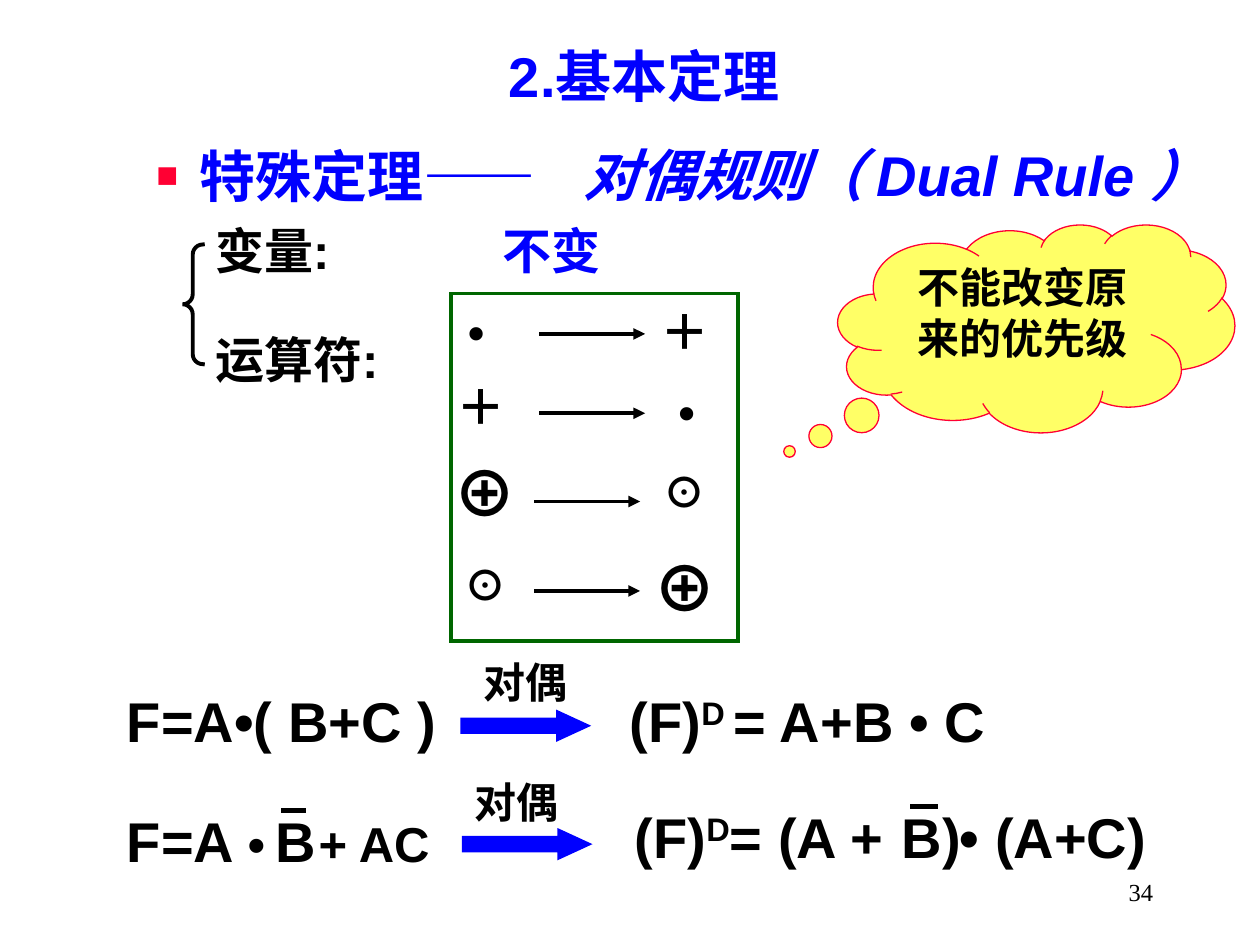
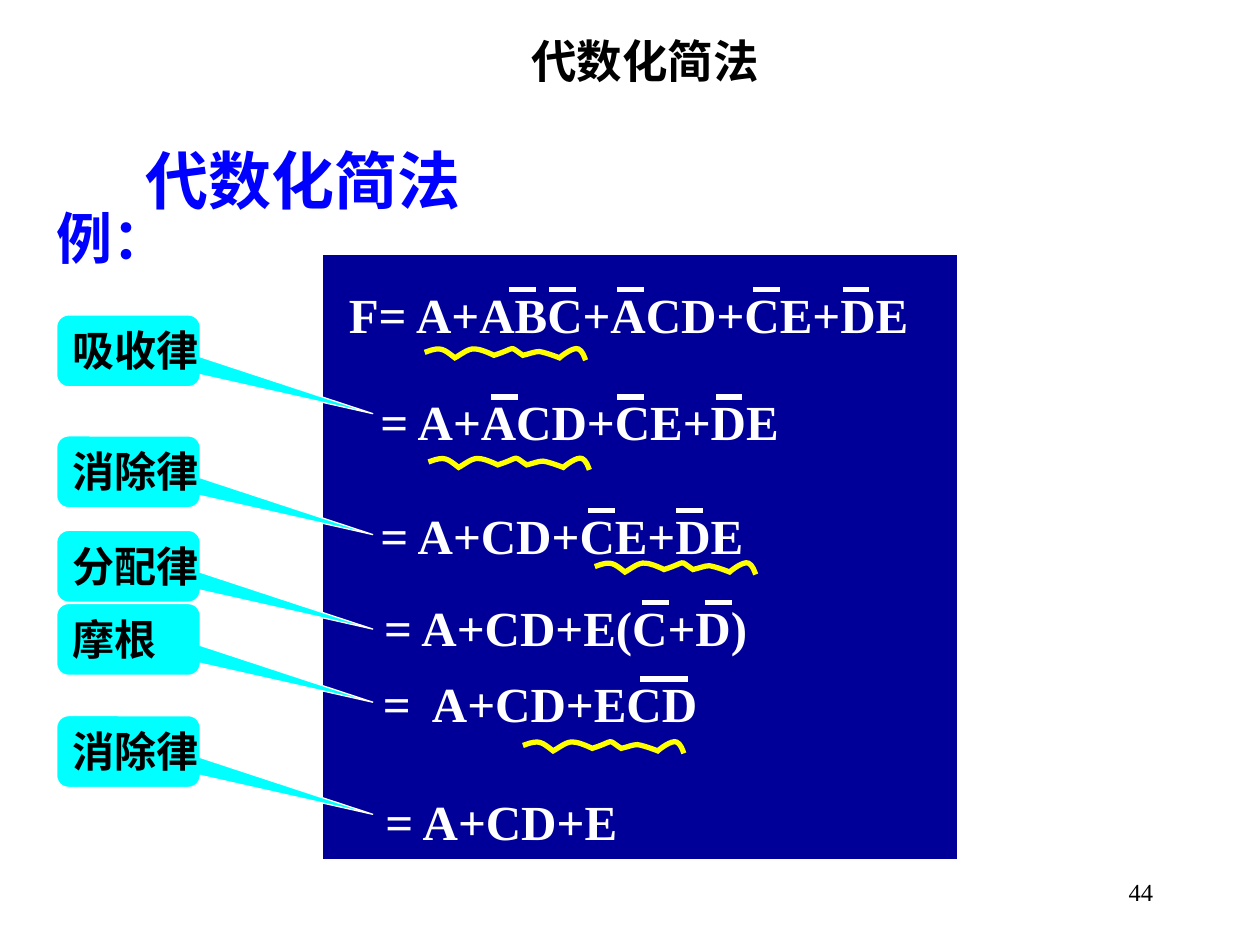
from lxml import etree
from pptx import Presentation
from pptx.dml.color import RGBColor
from pptx.enum.shapes import MSO_CONNECTOR, MSO_SHAPE
from pptx.enum.text import MSO_ANCHOR, MSO_AUTO_SIZE, PP_ALIGN
from pptx.oxml.ns import qn
from pptx.util import Inches, Pt

LEFT, MID, RIGHT = PP_ALIGN.LEFT, PP_ALIGN.CENTER, PP_ALIGN.RIGHT
TOP, CENTER = MSO_ANCHOR.TOP, MSO_ANCHOR.MIDDLE
STRAIGHT = MSO_CONNECTOR.STRAIGHT
RECT, BRACE = MSO_SHAPE.RECTANGLE, MSO_SHAPE.LEFT_BRACE
CLOUD, ARROW = MSO_SHAPE.CLOUD_CALLOUT, MSO_SHAPE.RIGHT_ARROW
CALLOUT = MSO_SHAPE.ROUNDED_RECTANGULAR_CALLOUT

SANS, SERIF, CJK = "Arial", "Times New Roman", "Noto Sans CJK SC"
BLACK, WHITE, BLUE, NAVY = "000000", "FFFFFF", "0000FF", "000099"
RED, GREEN, CYAN = "FF0033", "006600", "00FFFF"
PALE, YELLOW = "FFFF66", "FFFF00"

# Wavy underline, relative to its left top: a start, then three points a curve
START = (0, .05)
CURVES = [
    (.11, .01), (.13, .03), (.22, .10),
    (.26, .08), (.33, .02), (.38, .03),
    (.43, .03), (.53, .08), (.53, .08),
    (.72, .02), (.64, 0), (.76, .08),
    (.81, .07), (.85, .05), (.89, .05),
    (.95, .06), (1.05, .10), (1.05, .10),
    (1.06, .09), (1.16, .01), (1.20, .03),
    (1.23, .04), (1.25, .10), (1.25, .10),
]


def color(code):
    return RGBColor.from_string(code)


def place(shape, box):
    shape.left, shape.top, shape.width, shape.height = map(Inches, box)


def write(frame, text, size=32, font=SANS, ink=BLACK, bold=True, italic=False,
          align=LEFT, anchor=TOP, wrap=True, tab=None, bullet=None):
    """Text is a string or a list of (string, changes) runs."""
    frame.word_wrap = wrap
    frame.auto_size = MSO_AUTO_SIZE.NONE
    frame.vertical_anchor = anchor
    para = frame.paragraphs[0]
    para.alignment = align
    para.space_before = Pt(0)
    props = para._p.get_or_add_pPr()
    if bullet:
        props.set("marL", str(Inches(.34)))
        props.set("indent", str(-Inches(.34)))
        tint = etree.SubElement(props, qn("a:buClr"))
        etree.SubElement(tint, qn("a:srgbClr"), val=bullet)
        etree.SubElement(props, qn("a:buSzPct"), val="65000")
        etree.SubElement(props, qn("a:buFont"), typeface=SANS)
        etree.SubElement(props, qn("a:buChar"), char="■")
    if tab:
        stops = etree.SubElement(props, qn("a:tabLst"))
        etree.SubElement(stops, qn("a:tab"), pos=str(Inches(tab)), algn="l")
    for part, diff in [(text, {})] if isinstance(text, str) else text:
        run = para.add_run()
        run.text = part
        face = run.font
        face.name, face.bold, face.italic = font, bold, italic
        face.size = Pt(diff.get("size", size))
        face.color.rgb = color(diff.get("ink", ink))
        mark = run._r.get_or_add_rPr()
        if "base" in diff:
            mark.set("baseline", str(diff["base"] * 1000))
        etree.SubElement(mark, qn("a:ea"), typeface=CJK)


def label(slide, box, text, **form):
    shape = slide.shapes.add_textbox(*map(Inches, box))
    write(shape.text_frame, text, **form)


def hold(shape, box, text, **form):
    place(shape, box)
    write(shape.text_frame, text, **form)


def stroke(shape, ink, width):
    """Line with square ends and sharp corners; returns its element."""
    shape.line.color.rgb = color(ink)
    shape.line.width = Pt(width)
    line = shape._element.spPr.find(qn("a:ln"))
    line.set("cap", "sq")
    etree.SubElement(line, qn("a:miter"), lim="800000")
    return line


def block(slide, kind, box, fill=None, line=BLACK, width=.75, adj=()):
    shape = slide.shapes.add_shape(kind, *map(Inches, box))
    shape.shadow.inherit = False
    if fill:
        shape.fill.solid()
        shape.fill.fore_color.rgb = color(fill)
    else:
        shape.fill.background()
    stroke(shape, line, width)
    for i, value in enumerate(adj):
        shape.adjustments[i] = value
    return shape


def rule(slide, x, y, length, ink=BLACK, width=3, head=False):
    shape = slide.shapes.add_connector(
        STRAIGHT, Inches(x), Inches(y), Inches(x + length), Inches(y))
    line = stroke(shape, ink, width)
    if head:
        etree.SubElement(line, qn("a:tailEnd"), type="triangle")
    etree.SubElement(shape._element.spPr, qn("a:effectLst"))


def wave(slide, x, y):
    pen = slide.shapes.build_freeform(Inches(x + START[0]), Inches(y + START[1]))
    pen.add_line_segments([(Inches(x + a), Inches(y + b)) for a, b in CURVES],
                          close=False)
    shape = pen.convert_to_shape()
    # Each three points become one cubic curve
    steps = list(shape._element.iter(qn("a:lnTo")))
    for i in range(0, len(steps), 3):
        curve = etree.Element(qn("a:cubicBezTo"))
        steps[i].addprevious(curve)
        for step in steps[i:i + 3]:
            curve.append(step[0])
            step.getparent().remove(step)
    shape.shadow.inherit = False
    shape.fill.background()
    stroke(shape, YELLOW, 3)


def number(slide, text):
    label(slide, (7.17, 6.83, 2.08, .5), text, size=14, font=SERIF, bold=False,
          align=RIGHT, anchor=CENTER)


# Slide of the dual rule
def swaps(slide, box):
    """Framed table of operator swaps."""
    x, y = box[:2]
    dot, plus = ("•", 28, SERIF), ("＋", 28, SERIF)
    ring, plum = ("⊙", 24, CJK), ("⊕", 36, CJK)
    rows = [
        (.71, .32, (dot, .20, .01), (plus, 1.86, .01)),
        (.71, .95, (plus, .24, .61), (dot, 1.87, .65)),
        (.67, 1.65, (plum, .27, 1.23), (ring, 1.85, 1.32)),
        (.67, 2.36, (ring, .27, 2.06), (plum, 1.86, 1.98)),
    ]
    for start, level, *marks in rows:
        for (text, size, font), mid, top in marks:
            label(slide, (x + mid - .4, y + top, .8, .63), text,
                  size=size, font=font, align=MID)
        rule(slide, x + start, y + level, .83, width=2.25, head=True)
    block(slide, RECT, box, line=GREEN, width=2.25)


def turn(slide, x, y, text_x, text_y):
    """Block arrow with its caption."""
    block(slide, ARROW, (x, y, 1.02, .24), BLUE, BLUE, adj=(.5, 1.085))
    label(slide, (text_x, text_y, 1.15, .51), "对偶", size=24)


def sums(slide):
    label(slide, (.91, 5.4, 2.76, .63), "F=A•( B+C )")
    label(slide, (4.9, 5.4, 3.25, .63),
          [("(F)", {}), ("D ", {"base": 30}), ("= A+B • C", {})])
    turn(slide, 3.66, 5.64, 3.74, 5.16)

    label(slide, (.91, 6.35, 3.07, .63),
          [("F=A ", {}), ("•\t+ AC", {"size": 28})], tab=1.52)
    label(slide, (2.09, 6.35, .58, .63), "B")
    rule(slide, 2.25, 6.43, .16)
    label(slide, (4.94, 6.32, 4.69, .63),
          [("(F)", {}), ("D", {"base": 30}), ("= (A +\t• (A+C)", {})], tab=2.58)
    label(slide, (7.06, 6.32, 1.23, .63), "B)")
    rule(slide, 7.24, 6.4, .18)
    turn(slide, 3.67, 6.58, 3.67, 6.11)


def dual(slide):
    title, body = slide.placeholders
    hold(title, (1.06, .28, 8.11, .64), "2.基本定理", ink=BLUE, align=MID)
    hold(body, (1.14, 1.07, 4.57, .64), "特殊定理——", ink=BLUE, bullet=RED)
    label(slide, (4.53, 1.07, 5.44, .64), "对偶规则（ Dual Rule ）",
          ink=BLUE, italic=True)
    # Two rules joined by a brace
    block(slide, BRACE, (1.45, 1.94, .16, .95), width=2.25, adj=(.5, .5))
    label(slide, (1.61, 1.7, 5.43, .57),
          [("变量:\t", {}), ("不变", {"ink": BLUE})], size=28, tab=2.28)
    label(slide, (1.61, 2.57, 2.08, .57), "运算符:", size=28)
    swaps(slide, (3.58, 2.33, 2.28, 2.76))
    # Warning
    cloud = block(slide, CLOUD, (6.65, 1.78, 3.15, 1.65), PALE, RED,
                  adj=(-.622, .593))
    write(cloud.text_frame, "不能改变原来的优先级", size=24, font=SERIF, align=MID)
    sums(slide)
    number(slide, "34")


# Slide of the worked example
def proof(slide, box):
    """Panel of formula lines, with bars over negated letters."""
    x, y = box[:2]
    block(slide, RECT, box, NAVY, WHITE)
    lines = [
        ("F= A+ABC+ACD+CE+DE", .11, .19, (1.50, 1.82, 2.36, 3.44, 4.15), .17),
        ("= A+ACD+CE+DE", .36, 1.04, (1.36, 2.36, 3.14), .17),
        ("= A+CD+CE+DE", .36, 1.94, (2.13, 2.83), .17),
        ("= A+CD+E(C+D)", .39, 2.67, (2.56, 3.06), .17),
        ("=\tA+CD+ECD", .38, 3.28, (2.54,), .34),
        ("= A+CD+E", .40, 4.21, (), 0),
    ]
    for text, left, top, bars, length in lines:
        label(slide, (x + left, y + top, 4.83, .57), text, size=28, font=SERIF,
              ink=WHITE, tab=.39 if "\t" in text else None)
        for bar in bars:
            rule(slide, x + bar, y + top + .09, length, WHITE)
    for left, top in [(.83, .72), (.86, 1.59), (2.18, 2.42), (1.61, 3.84)]:
        wave(slide, x + left, y + top)


def laws(slide, x):
    """Callouts that name the law used in each step."""
    names = [("吸收律", 2.5), ("消除律", 3.46), ("分配律", 4.21),
             ("摩根", 4.79), ("消除律", 5.68)]
    for name, y in names:
        note = block(slide, CALLOUT, (x, y, 1.14, .57), CYAN, WHITE,
                     adj=(1.703, .875, .167))
        write(note.text_frame, name, size=24, font=SERIF, wrap=False)


def algebra(slide):
    hold(slide.shapes.title, (1.22, .21, 7.8, .53), "代数化简法", size=26, align=MID)
    proof(slide, (2.56, 2.02, 5.04, 4.8))
    label(slide, (1.06, 1.07, 5.28, .71), "代数化简法", size=36, ink=BLUE)
    label(slide, (.35, 1.57, 1.02, .64), "例：", font=SERIF, ink=BLUE)
    laws(slide, .45)
    number(slide, "44")


def main():
    deck = Presentation()
    deck.slide_width, deck.slide_height = Inches(10), Inches(7.5)
    for layout, build in [(1, dual), (5, algebra)]:
        build(deck.slides.add_slide(deck.slide_layouts[layout]))
    deck.save("out.pptx")


if __name__ == "__main__":
    main()
